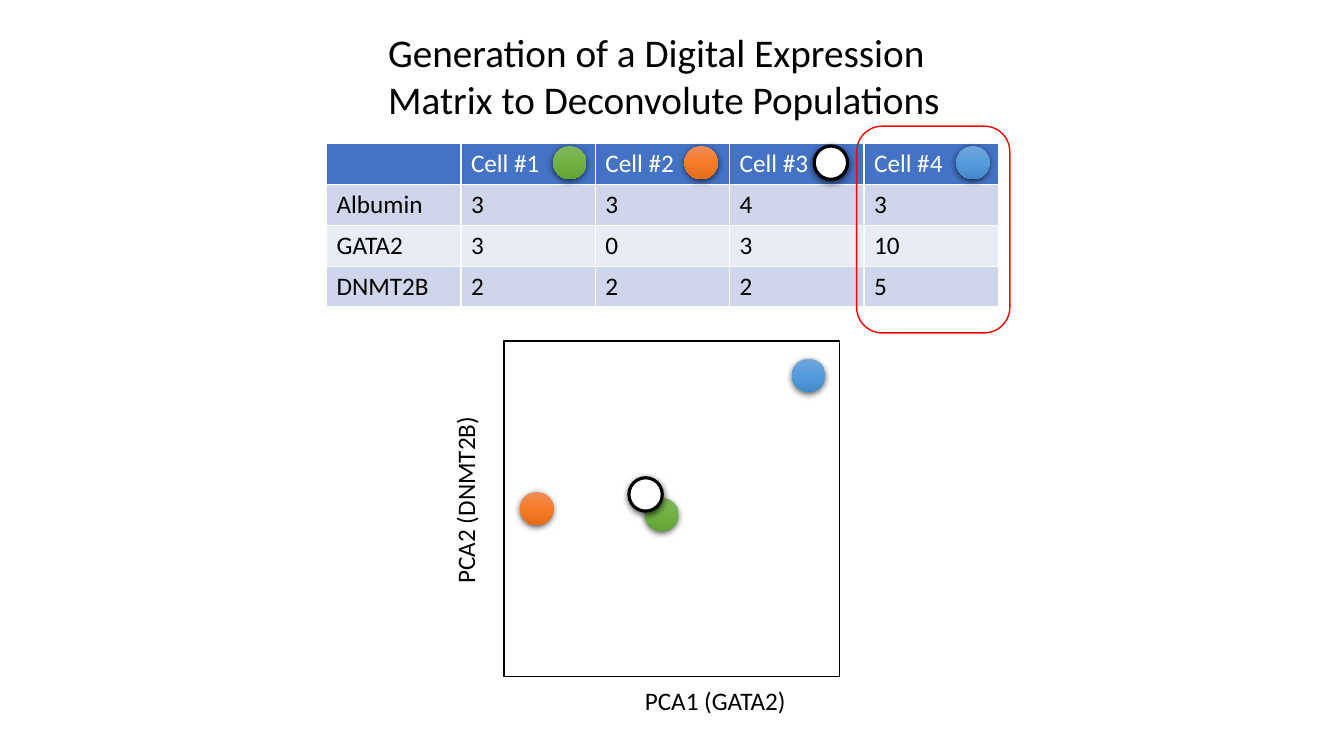
from copy import deepcopy

from lxml import etree
from pptx import Presentation
from pptx import util as u
from pptx.dml.color import RGBColor
from pptx.enum import shapes, text
from pptx.oxml.ns import qn

INK = {
    "black": "000000", "white": "FFFFFF", "red": "FF0000",
    "head": "4472C4", "odd": "CFD5EA", "even": "E9EBF5",
}
BALLS = {
    "green": ("81B861", "6FB242", "62A336"),
    "orange": ("F18C57", "F67B28", "E56C19"),
    "blue": ("71A6DB", "559BDB", "448ACA"),
}
CELLS = [
    ("", "Cell #1", "Cell #2", "Cell #3", "Cell #4"),
    ("Albumin", "3", "3", "4", "3"),
    ("GATA2", "3", "0", "3", "10"),
    ("DNMT2B", "2", "2", "2", "5"),
]
MARKS = [
    ("green", 13.94, 16.26, 12.55),
    ("orange", 17.25, 13.11, 12.4),
    ("white", 20.52, 15.85, 12.04),
    ("blue", 24.1, 19.96, 9.04),
]
KINDS = shapes.MSO_SHAPE


class Deck:
    """Holds the style and the current slide."""

    def __init__(self):
        self.prs = Presentation()
        self.prs.slide_width, self.prs.slide_height = u.Cm(33.87), u.Cm(19.05)
        self.slide = self.prs.slides.add_slide(self.prs.slide_layouts[5])
        self.shapes = self.slide.shapes

    def style(self, frame, size, ink="black"):
        for para in frame.paragraphs:
            para.alignment = text.PP_ALIGN.LEFT
            for run in para.runs:
                font = run.font
                font.name, font.size, font.bold = "Calibri", u.Pt(size), False
                font.color.rgb = RGBColor.from_string(INK[ink])

    def title(self, words, *box):
        head = self.shapes.title
        head.left, head.top, head.width, head.height = map(u.Cm, box)
        frame = head.text_frame
        frame.text = words
        frame.word_wrap = True
        frame.auto_size = text.MSO_AUTO_SIZE.NONE
        frame.vertical_anchor = text.MSO_ANCHOR.TOP
        self.style(frame, 28)

    def label(self, words, *box, turn=0):
        item = self.shapes.add_textbox(*map(u.Cm, box))
        item.rotation = turn
        item.text_frame.text = words
        item.text_frame.word_wrap = True
        self.style(item.text_frame, 18)

    def table(self, rows, *box):
        grid = self.shapes.add_table(len(rows), len(rows[0]), *map(u.Cm, box)).table
        for r, row in enumerate(rows):
            fill = "head" if r == 0 else ("odd" if r % 2 else "even")
            for c, words in enumerate(row):
                cell = grid.cell(r, c)
                cell.text = words
                cell.fill.solid()
                cell.fill.fore_color.rgb = RGBColor.from_string(INK[fill])
                self.style(cell.text_frame, 18, "black" if r else "white")

    def frame(self, kind, ink, width, *box):
        item = self.shapes.add_shape(kind, *map(u.Cm, box))
        item.shadow.inherit = False
        item.fill.background()
        item.line.width = u.Pt(width)
        item.line.color.rgb = RGBColor.from_string(INK[ink])
        return item

    def ball(self, name, left, top):
        item = self.frame(KINDS.OVAL, "black", 2.25, left, top, 0.84, 0.84)
        if name in BALLS:
            item.line.fill.background()
            self.blend(item.fill, BALLS[name], item.element.spPr)
        else:
            item.fill.solid()
            item.fill.fore_color.rgb = RGBColor.from_string(INK[name])
        self.shade(item.element.spPr.find(qn("a:effectLst")))

    def blend(self, fill, inks, props):
        fill.gradient()
        fill.gradient_angle = 270
        stops = props.find(".//" + qn("a:gsLst"))
        stops.insert(1, deepcopy(stops[0]))
        for stop, ink, spot in zip(fill.gradient_stops, inks, (0, 0.5, 1)):
            stop.color.rgb = RGBColor.from_string(ink)
            stop.position = spot

    def shade(self, effects):
        glow = etree.SubElement(
            effects, qn("a:outerShdw"), blurRad=str(u.Pt(4.5)),
            dist=str(u.Pt(1.5)), dir="5400000", algn="ctr", rotWithShape="0")
        ink = etree.SubElement(glow, qn("a:srgbClr"), val=INK["black"])
        etree.SubElement(ink, qn("a:alpha"), val="63000")


def main():
    deck = Deck()
    deck.table(CELLS, 8.23, 3.61, 16.93, 4.13)
    deck.title("Generation of a Digital Expression\n"
               "Matrix to Deconvolute Populations", 9.53, 0.58, 14.81, 2.64)
    deck.frame(KINDS.ROUNDED_RECTANGLE, "red", 1, 21.59, 3.18, 3.86, 5.21)
    deck.frame(KINDS.RECTANGLE, "black", 1, 12.7, 8.59, 8.46, 8.46)
    deck.label("PCA1 (GATA2)", 16, 17.15, 4.09, 1.02)
    deck.label("PCA2 (DNMT2B)", 9.35, 12.07, 4.75, 1.02, turn=270)
    for name, key, left, top in MARKS:
        deck.ball(name, key, 3.68)
        deck.ball(name, left, top)
    deck.prs.save("out.pptx")


if __name__ == "__main__":
    main()
